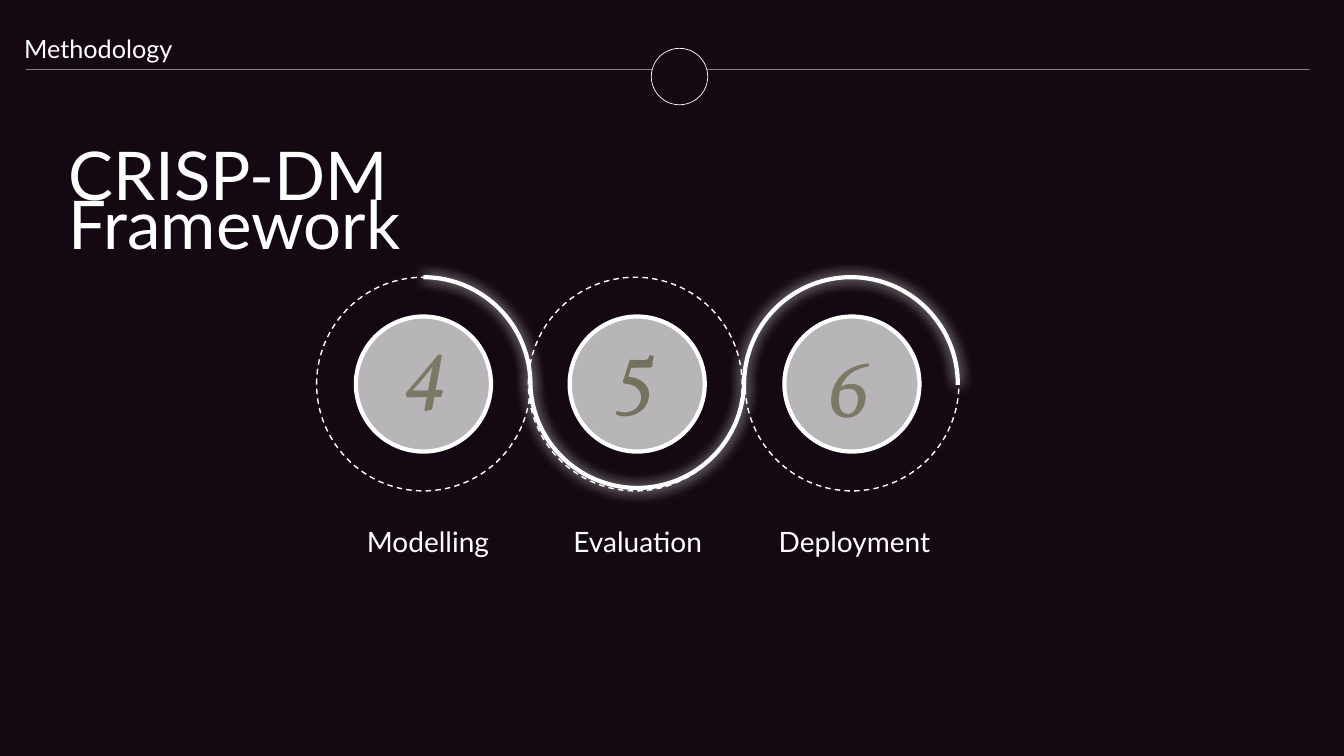
from dataclasses import dataclass, field

from lxml.etree import SubElement
from pptx import Presentation
from pptx.dml.color import RGBColor
from pptx.enum.dml import MSO_LINE
from pptx.enum.shapes import MSO_CONNECTOR, MSO_SHAPE
from pptx.enum.text import MSO_ANCHOR, MSO_AUTO_SIZE, PP_ALIGN
from pptx.oxml.ns import qn
from pptx.util import Emu, Pt

SCALE = 9144  # 100 px to the inch
COLORS = {"back": "140812", "white": "FFFFFF", "olive": "484525", "moss": "7B7866"}
LATO = {"name": "Lato"}
DIGIT = {"name": "Vollkorn", "size": Pt(60), "italic": True}
FLAT = {"margin_left": 0, "margin_right": 0, "margin_top": 0, "margin_bottom": 0}
GROW = {"word_wrap": True, "auto_size": MSO_AUTO_SIZE.SHAPE_TO_FIT_TEXT}
CENTER = {"alignment": PP_ALIGN.CENTER}


@dataclass
class Ring:
    left: int
    disc: int


@dataclass
class Arc:
    left: int
    top: int
    turn: int = 0
    start: float | None = None
    flip: bool = False


@dataclass
class Label:
    text: str
    box: tuple[int, int, int, int]
    font: dict
    color: str = "white"
    frame: dict = field(default_factory=dict)
    para: dict = field(default_factory=dict)


RINGS = [Ring(314, 353), Ring(524, 565), Ring(739, 778)]
ARCS = [Arc(314, 275), Arc(526, 272, 180, 108.638), Arc(738, 275, 0, 107.727, True)]
STEPS = [("Modelling", 333), ("Evaluation", 541), ("Deployment", 756)]
LABELS = [
    Label("CRISP-DM Framework", (58, 156, 629, 64), LATO | {"size": Pt(48)},
          para={"line_spacing": 0.6}),
    Label("Methodology", (14, 34, 167, 35), LATO | {"size": Pt(18)},
          para=CENTER | {"line_spacing": 0.8}),
    *(Label(name, (left, 520, 183, 34), LATO | {"size": Pt(20)}, frame=FLAT, para=CENTER)
      for name, left in STEPS),
    Label("4", (392, 306, 53, 111), DIGIT, "moss"),
    Label("6", (810, 326, 61, 111), DIGIT, "moss"),
]


def px(num: int) -> Emu:
    return Emu(num * SCALE)


def rgb(name: str) -> RGBColor:
    return RGBColor.from_string(COLORS[name])


def apply(item, values: dict) -> None:
    for key, val in values.items():
        setattr(item, key, val)


def fade(root, share: int) -> None:
    tint = next(root.iter(qn("a:srgbClr")))
    SubElement(tint, qn("a:alpha"), val=str(share * 1000))


def write(frame, text: str, font: dict, color: str, layout: dict, para: dict) -> None:
    apply(frame, layout)
    line = frame.paragraphs[0]
    apply(line, para)
    run = line.add_run()
    run.text = text
    apply(run.font, font)
    run.font.color.rgb = rgb(color)


def draw(slide, kind, box: tuple[int, int, int, int], width: float, fill: str = ""):
    shape = slide.shapes.add_shape(kind, *map(px, box))
    shape.shadow.inherit = False
    if fill:
        shape.fill.solid()
        shape.fill.fore_color.rgb = rgb(fill)
    else:
        shape.fill.background()
    shape.line.color.rgb = rgb("white")
    shape.line.width = Pt(width)
    return shape


def add_arc(slide, arc: Arc) -> None:
    shape = draw(slide, MSO_SHAPE.ARC, (arc.left, arc.top, 212, 212), 3)
    shape.rotation = arc.turn
    if arc.start is not None:
        shape.adjustments[0] = arc.start
        shape.adjustments[1] = 0
    props = shape.element.spPr
    if arc.flip:
        props.find(qn("a:xfrm")).set("flipH", "1")
    glow = SubElement(props.find(qn("a:effectLst")), qn("a:outerShdw"),
                      blurRad=str(Pt(10)), dist="0", dir="0", rotWithShape="0")
    SubElement(glow, qn("a:srgbClr"), val=COLORS["white"])


def add_label(slide, label: Label) -> None:
    box = slide.shapes.add_textbox(*map(px, label.box))
    write(box.text_frame, label.text, label.font, label.color,
          GROW | label.frame, label.para)


def main() -> None:
    deck = Presentation()
    deck.slide_width, deck.slide_height = px(1333), px(750)
    slide = deck.slides.add_slide(deck.slide_layouts[6])
    slide.background.fill.solid()
    slide.background.fill.fore_color.rgb = rgb("back")

    # Header rule and circle
    rule = slide.shapes.add_connector(MSO_CONNECTOR.STRAIGHT, px(26), px(69), px(1299), px(69))
    rule.line.color.rgb = rgb("white")
    rule.line.width = Pt(0.5)
    props = rule.element.spPr
    fade(props, 50)
    SubElement(props, qn("a:effectLst"))
    draw(slide, MSO_SHAPE.OVAL, (646, 48, 56, 56), 0.5, "back")

    # Dashed rings, then numbered discs
    for ring in RINGS:
        shape = draw(slide, MSO_SHAPE.OVAL, (ring.left, 275, 212, 212), 1)
        shape.line.dash_style = MSO_LINE.DASH
    discs = [draw(slide, MSO_SHAPE.OVAL, (ring.disc, 314, 134, 134), 3, "white")
             for ring in RINGS]
    for disc in discs:
        fade(disc.element.spPr, 70)
    five = discs[1]
    layout = FLAT | {"margin_bottom": px(31), "word_wrap": False,
                     "vertical_anchor": MSO_ANCHOR.MIDDLE}
    write(five.text_frame, "5", DIGIT, "olive", layout, CENTER)
    fade(five.element.txBody, 60)

    # Glowing wave
    for arc in ARCS:
        add_arc(slide, arc)

    # Title, section name, step names and digits
    for label in LABELS:
        add_label(slide, label)

    deck.save("out.pptx")


if __name__ == "__main__":
    main()
